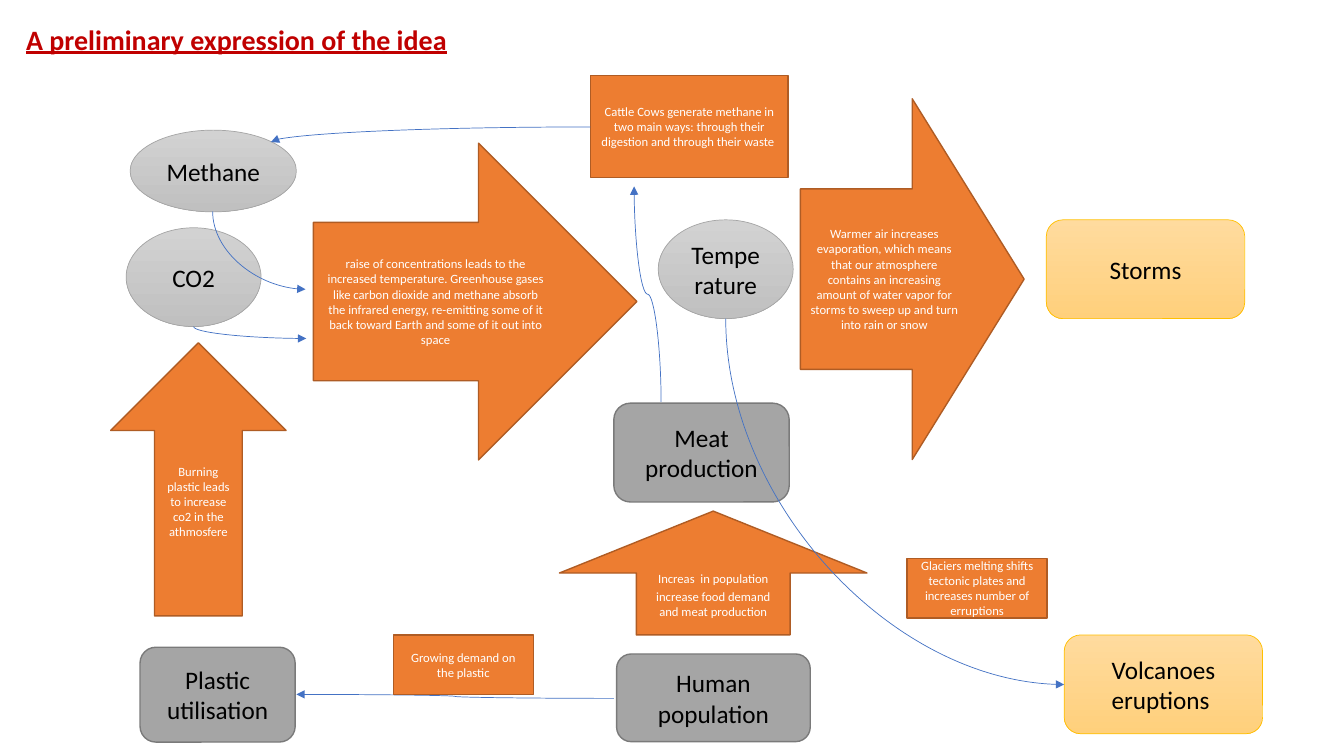
"""Draws a cause-and-effect map from human population to storms and eruptions."""
from lxml import etree
from pptx import Presentation
from pptx.dml.color import RGBColor
from pptx.enum import shapes, text
from pptx.oxml import ns
from pptx.util import Cm, Pt

COLORS = {
    "title": "C00000", "black": "000000", "white": "FFFFFF", "curve": "4472C4",
    "gas_top": "D2D2D2", "gas_bottom": "C0C0C0", "gas_line": "A5A5A5",
    "effect_top": "FFDB9E", "effect_bottom": "FFD07C", "effect_line": "FFC000",
    "cause": "A5A5A5", "cause_line": "7A7A7A",
    "link": "ED7D31", "link_line": "AF5C24",
}
# style: fills, line, line width, font colour, font size
STYLES = {
    "gas": (("gas_top", "gas_bottom"), "gas_line", 0.5, "black", 18),
    "effect": (("effect_top", "effect_bottom"), "effect_line", 0.5, "black", 18),
    "cause": (("cause",), "cause_line", 1, "black", 18),
    "link": (("link",), "link_line", 1, "white", 9),
}
TITLE = "A preliminary expression of the idea"
NODES = [
    ("gas", "OVAL", (3.18, 5.74, 3.4, 2.49), "CO2"),
    ("link", "RIGHT_ARROW", (7.9, 3.61, 8.15, 7.98),
     "raise of concentrations leads to the increased temperature. Greenhouse gases like "
     "carbon dioxide and methane absorb the infrared energy, re-emitting some of it back "
     "toward Earth and some of it out into space"),
    ("gas", "OVAL", (16.59, 5.54, 3.4, 2.49), "Temperature"),
    ("link", "RIGHT_ARROW", (20.17, 2.49, 5.64, 9.09),
     "Warmer air increases evaporation, which means that our atmosphere contains an "
     "increasing amount of water vapor for storms to sweep up and turn into rain or snow"),
    ("effect", "ROUNDED_RECTANGLE", (26.37, 5.54, 5, 2.49), "Storms"),
    ("cause", "ROUNDED_RECTANGLE", (15.54, 16.48, 4.88, 2.21), "Human population"),
    ("cause", "ROUNDED_RECTANGLE", (3.53, 16.31, 3.91, 2.39), "Plastic utilisation"),
    ("link", "UP_ARROW", (2.79, 8.64, 4.42, 6.88),
     "Burning plastic leads to increase co2 in the athmosfere"),
    ("gas", "OVAL", (3.28, 3.28, 4.19, 2.06), "Methane "),
    ("cause", "ROUNDED_RECTANGLE", (15.47, 10.16, 4.42, 2.49), "Meat production"),
    ("link", "UP_ARROW", (14.1, 12.88, 7.75, 3.12),
     [("Increas", 9), (" ", 18),
      ("in population increase food demand and meat production", 9)]),
    ("link", "RECTANGLE", (14.88, 1.9, 4.98, 2.57),
     "Cattle Cows generate methane in two main ways: through their digestion and "
     "through their waste "),
    ("effect", "ROUNDED_RECTANGLE", (26.82, 16, 5, 2.49), "Volcanoes eruptions "),
]
# start, end, leaves vertically, preset
CURVES = [
    ((16.66, 10.13), (15.98, 4.7), True, "curvedConnector3"),
    ((4.88, 8.23), (7.72, 8.53), True, "curvedConnector2"),
    ((5.36, 5.33), (7.7, 7.29), True, "curvedConnector2"),
    ((14.88, 3.2), (6.83, 3.58), False, "curvedConnector2"),
    ((15.47, 17.6), (7.47, 17.5), False, "curvedConnector3"),
    ((18.29, 8.03), (26.82, 17.25), True, "curvedConnector2"),
]
NOTES = [
    ("link", "RECTANGLE", (9.91, 16, 3.53, 1.5), "Growing demand on the plastic"),
    ("link", "RECTANGLE", (22.86, 14.07, 3.53, 1.5),
     "Glaciers melting shifts tectonic plates and increases number of erruptions"),
]


def rgb(name):
    return RGBColor.from_string(COLORS[name])


def write(tf, content, size=18, color="black", bold=False, underline=False,
          align=text.PP_ALIGN.CENTER, wrap=True):
    tf.word_wrap = wrap
    p = tf.paragraphs[0]
    p.alignment = align
    runs = [(content, size)] if isinstance(content, str) else content
    for words, points in runs:
        r = p.add_run()
        r.text = words
        r.font.name = "Calibri"
        r.font.size = Pt(points)
        r.font.bold = bold
        r.font.underline = underline
        r.font.color.rgb = rgb(color)


def add_node(s, style, kind, box, content):
    fills, line, width, color, size = STYLES[style]
    sp = s.shapes.add_shape(shapes.MSO_SHAPE[kind], *map(Cm, box))
    sp.shadow.inherit = False
    if len(fills) == 1:
        sp.fill.solid()
        sp.fill.fore_color.rgb = rgb(fills[0])
    else:
        sp.fill.gradient()
        sp.fill.gradient_angle = 270
        for stop, name in zip(sp.fill.gradient_stops, fills):
            stop.color.rgb = rgb(name)
    sp.line.color.rgb = rgb(line)
    sp.line.width = Pt(width)
    sp.text_frame.vertical_anchor = text.MSO_ANCHOR.MIDDLE
    write(sp.text_frame, content, size=size, color=color)


def add_curve(s, start, end, vertical, preset):
    (x1, y1), (x2, y2) = start, end
    if vertical:
        cx, cy = (x1 + x2) / 2, (y1 + y2) / 2
        dx, dy = (x2 - x1) / 2, (y2 - y1) / 2
        x1, y1, x2, y2 = cx + dy, cy - dx, cx - dy, cy + dx
    c = s.shapes.add_connector(shapes.MSO_CONNECTOR.CURVE, *map(Cm, (x1, y1, x2, y2)))
    c.line.color.rgb = rgb("curve")
    c.line.width = Pt(0.5)
    props = c._element.spPr
    if vertical:
        props.find(ns.qn("a:xfrm")).set("rot", "16200000")
    props.find(ns.qn("a:prstGeom")).set("prst", preset)
    etree.SubElement(props.find(ns.qn("a:ln")), ns.qn("a:tailEnd"), type="triangle")
    etree.SubElement(props, ns.qn("a:effectLst"))


def main():
    prs = Presentation()
    prs.slide_width, prs.slide_height = Cm(33.87), Cm(19.05)
    s = prs.slides.add_slide(prs.slide_layouts[6])
    for node in NODES:
        add_node(s, *node)
    for curve in CURVES:
        add_curve(s, *curve)
    for note in NOTES:
        add_node(s, *note)
    tb = s.shapes.add_textbox(*map(Cm, (0.41, 0.43, 11.2, 1.12)))
    write(tb.text_frame, TITLE, size=20, color="title", bold=True, underline=True,
          align=text.PP_ALIGN.LEFT, wrap=False)
    prs.save("out.pptx")


if __name__ == "__main__":
    main()
